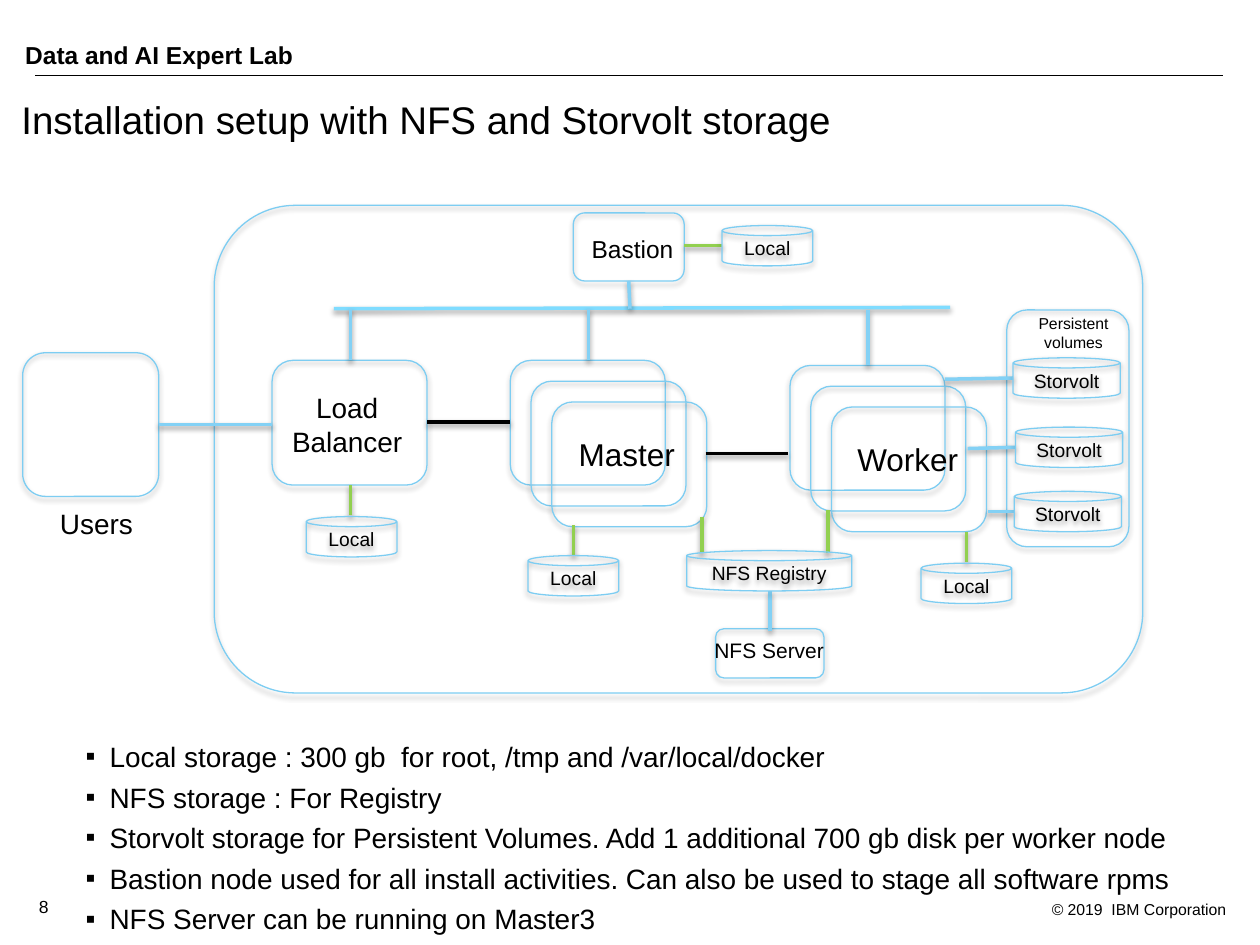
from lxml.etree import SubElement
from pptx import Presentation
from pptx.dml.color import RGBColor
from pptx.enum.shapes import MSO_CONNECTOR, MSO_SHAPE
from pptx.enum.text import MSO_ANCHOR, PP_ALIGN
from pptx.oxml.ns import qn
from pptx.util import Inches, Pt

THEME = {
    "font": "Arial", "ink": "000000", "edge": "7DCDF2", "bus": "7FDCFF",
    "link": "83D1F5", "disk": "92D050", "thin": 0.75, "thick": 2,
    "title": 22, "head": 14, "body": 16, "node": 18, "can": 11,
    "server": 12, "page": 10, "small": 9,
}
LEFT, MID, RIGHT = PP_ALIGN.LEFT, PP_ALIGN.CENTER, PP_ALIGN.RIGHT

# text, left, top, width, height, size, alignment, left inset
LABELS = [
    ("© 2019  IBM Corporation", 6.49, 7.09, 3.34, 0.25, "small", RIGHT, 0.1),
    ("8", 0.21, 7.06, 0.6, 0.27, "page", LEFT, 0.1),
    ("Installation setup with NFS and Storvolt storage",
     0.17, 0.71, 9.35, 0.6, "title", LEFT, 0),
    ("Master", 4.39, 3.4, 1.17, 0.4, "node", MID, 0.1),
    ("Worker", 6.62, 3.44, 1.17, 0.4, "node", MID, 0.1),
    ("Bastion", 4.48, 1.81, 1.08, 0.34, "head", MID, 0.1),
    ("Load Balancer", 2.16, 3.05, 1.19, 0.64, "body", MID, 0.1),
    ("Users", 0.17, 3.97, 1.19, 0.37, "body", MID, 0.1),
    ("NFS Server", 4.91, 5.01, 2.39, 0.3, "server", MID, 0.1),
    ("Persistent volumes", 8.08, 2.44, 0.88, 0.4, "small", MID, 0.1),
]
HEAD = ("Data and AI Expert Lab", 0.2, 0.06, 5.26, 0.54, "head", LEFT, 0)
NOTES = [
    "Local storage : 300 gb  for root, /tmp and /var/local/docker",
    "NFS storage : For Registry",
    "Storvolt storage for Persistent Volumes. Add 1 additional 700 gb disk per worker node",
    "Bastion node used for all install activities. Can also be used to stage all software rpms",
    "NFS Server can be running on Master3",
]
BOXES = [
    (1.7, 1.63, 7.37, 3.87),   # cluster
    (4.55, 1.69, 0.88, 0.54),  # bastion
    (2.16, 2.86, 1.23, 0.99),  # load balancer
    (0.18, 2.8, 1.08, 1.14),   # users
    (5.68, 4.99, 0.86, 0.39),  # NFS server
    (7.99, 2.46, 0.97, 1.88),  # persistent volumes
]
STACKS = [(4.05, 2.86), (6.27, 2.9)]  # master and worker nodes
COUNT, STEP, NODE = 3, 0.165, (1.23, 0.99)
# text, width, and the left and top of each can
CANS = [
    ("Local", 0.72, [(2.43, 4.1), (4.19, 4.41), (7.31, 4.47), (5.73, 1.79)]),
    ("NFS Registry", 1.31, [(5.45, 4.37)]),
    ("Storvolt", 0.85, [(8.04, 2.84), (8.06, 3.39), (8.05, 3.9)]),
]
TALL = 0.32
# x and y of both ends, by colour
LINES = {
    "ink": [(3.39, 3.35, 4.05, 3.35), (5.6, 3.6, 6.25, 3.6)],
    "bus": [(2.65, 2.45, 7.54, 2.44)],
    "link": [
        (4.99, 2.23, 5, 2.45), (6.89, 2.9, 6.89, 2.46),
        (4.67, 2.86, 4.67, 2.45), (2.78, 2.86, 2.78, 2.45),
        (1.26, 3.37, 2.16, 3.37), (6.11, 5.01, 6.11, 4.69),
        (8.05, 4.06, 7.84, 4.06), (8.06, 3.55, 7.68, 3.56),
        (8.04, 3, 7.5, 3.01),
    ],
    "disk": [
        (2.78, 3.85, 2.78, 4.09), (4.55, 4.17, 4.55, 4.41),
        (5.57, 4.1, 5.57, 4.39), (6.57, 4.05, 6.57, 4.39),
        (7.67, 4.22, 7.67, 4.46), (5.73, 1.95, 5.43, 1.95),
    ],
}

deck = Presentation()
deck.slide_width, deck.slide_height = Inches(10), Inches(7.5)
slide = deck.slides.add_slide(deck.slide_layouts[6])
shapes = slide.shapes


def tint(name):
    return RGBColor.from_string(THEME[name])


def effect(item, dist=None, alpha=None):
    """Replace the style's shadow by a soft one below, or by none."""
    box = SubElement(item._element.spPr, qn("a:effectLst"))
    if dist:
        shade = SubElement(box, qn("a:outerShdw"), blurRad=str(Pt(3.1)),
                           dist=str(Pt(dist)), dir="5400000", rotWithShape="0")
        hue = SubElement(shade, qn("a:srgbClr"), val=THEME["ink"])
        SubElement(hue, qn("a:alpha"), val=str(alpha * 1000))


def style(para, size, align=LEFT):
    para.alignment = align
    font = para.font
    font.name, font.size = THEME["font"], Pt(THEME[size])
    font.color.rgb = tint("ink")


def label(text, x, y, w, h, size, align, inset):
    frame = shapes.add_textbox(*map(Inches, (x, y, w, h))).text_frame
    frame.word_wrap = True
    frame.margin_left = Inches(inset)
    frame.text = text
    style(frame.paragraphs[0], size, align)
    return frame


def outline(kind, x, y, w, h):
    item = shapes.add_shape(kind, *map(Inches, (x, y, w, h)))
    item.fill.background()
    item.line.color.rgb = tint("edge")
    item.line.width = Pt(THEME["thin"])
    effect(item, 1.8, 35)
    return item


def line(ends, hue, width):
    item = shapes.add_connector(MSO_CONNECTOR.STRAIGHT, *map(Inches, ends))
    item.line.color.rgb = tint(hue)
    item.line.width = Pt(THEME[width])
    return item


def bullet(para):
    props = para._p.get_or_add_pPr()
    props.set("marL", str(Inches(0.19)))
    props.set("indent", str(Inches(-0.19)))
    hue = SubElement(props, qn("a:buClr"))
    SubElement(hue, qn("a:srgbClr"), val=THEME["ink"])
    SubElement(props, qn("a:buFont"), typeface=THEME["font"])
    SubElement(props, qn("a:buChar"), char="▪")


effect(line((0.28, 0.6, 9.71, 0.6), "ink", "thin"))
head = label(*HEAD)
head.vertical_anchor = MSO_ANCHOR.BOTTOM
head.paragraphs[0].font.bold = True

stacked = [(x + i * STEP, y + i * STEP, *NODE)
           for x, y in STACKS for i in range(COUNT)]
for place in BOXES + stacked:
    outline(MSO_SHAPE.ROUNDED_RECTANGLE, *place)

for hue, rows in LINES.items():
    for ends in rows:
        effect(line(ends, hue, "thick"), 1.6, 38)

for text, wide, spots in CANS:
    for x, y in spots:
        frame = outline(MSO_SHAPE.CAN, x, y, wide, TALL).text_frame
        frame.text = text
        frame.vertical_anchor = MSO_ANCHOR.MIDDLE
        style(frame.paragraphs[0], "can", MID)

for row in LABELS:
    label(*row)

notes = label("\n".join(NOTES), 0.68, 5.82, 8.95, 1.14, "body", LEFT, 0)
for i, para in enumerate(notes.paragraphs):
    bullet(para)
    style(para, "body")
    if i:
        para.space_before = Pt(4)

deck.save("out.pptx")
